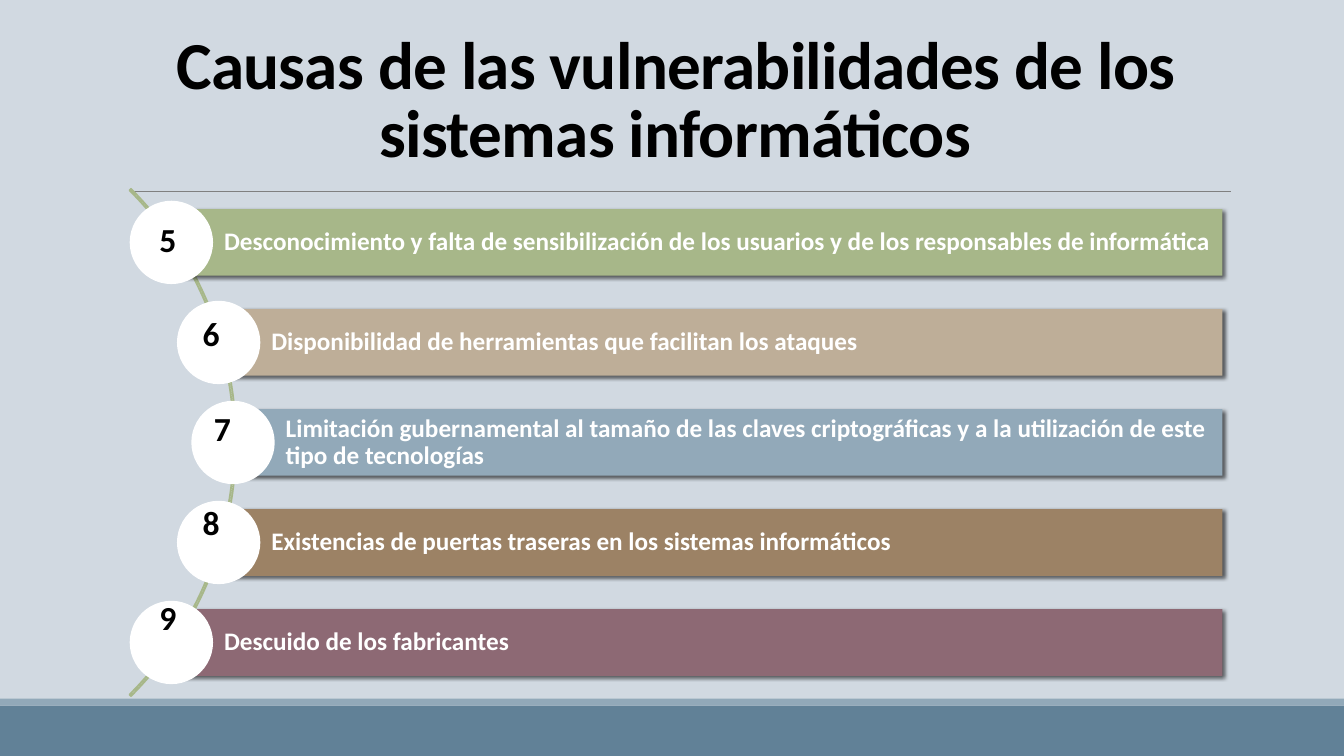
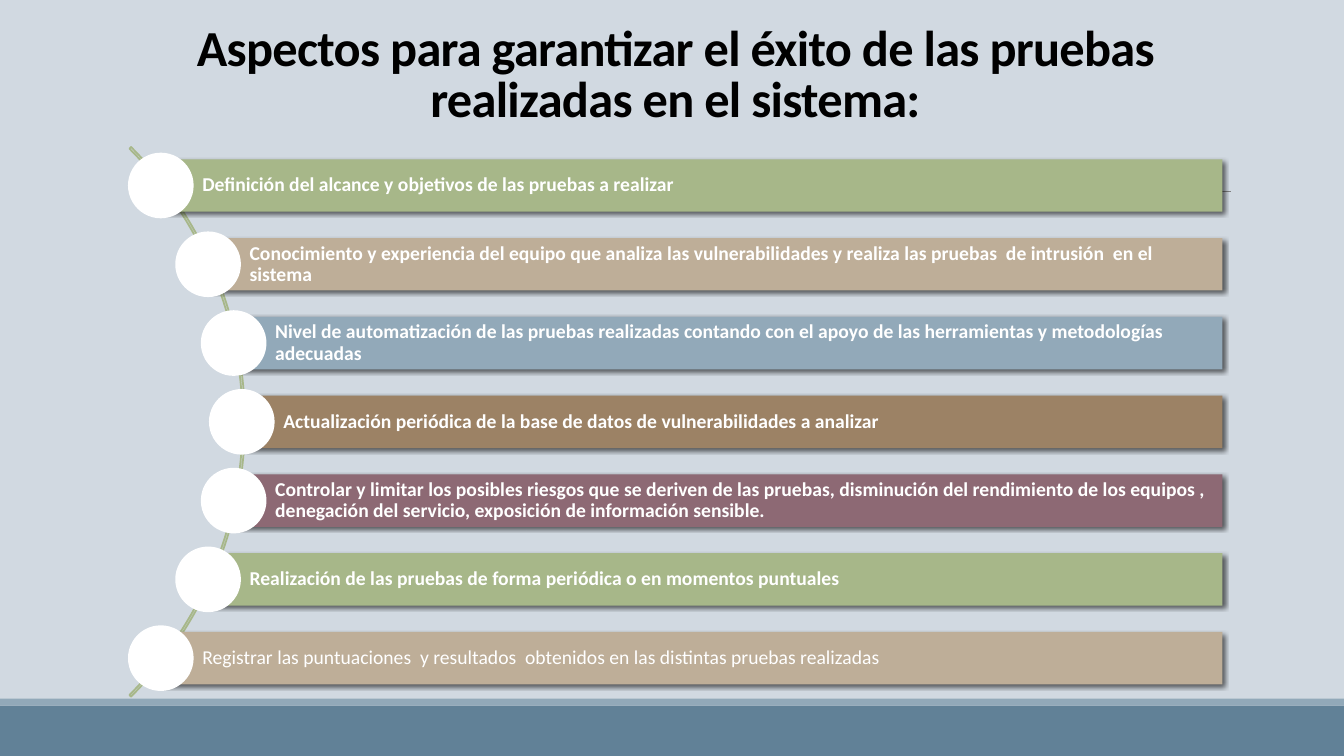
from dataclasses import dataclass
from math import sqrt

from lxml import etree
from pptx import Presentation
from pptx.dml.color import RGBColor
from pptx.enum.shapes import MSO_CONNECTOR, MSO_SHAPE
from pptx.enum.text import MSO_ANCHOR, PP_ALIGN
from pptx.oxml.ns import qn
from pptx.util import Emu, Inches, Pt

RECTANGLE, OVAL, ARC = MSO_SHAPE.RECTANGLE, MSO_SHAPE.OVAL, MSO_SHAPE.BLOCK_ARC
STRAIGHT = MSO_CONNECTOR.STRAIGHT
MIDDLE, BOTTOM, TOP = MSO_ANCHOR.MIDDLE, MSO_ANCHOR.BOTTOM, MSO_ANCHOR.TOP
LEFT, CENTER = PP_ALIGN.LEFT, PP_ALIGN.CENTER
WIDTH, HEIGHT = Inches(13.33), Inches(7.5)


@dataclass(frozen=True)
class Theme:
    """Colours, font and type sizes of the deck."""
    font: str = "Calibri"
    background: str = "D1D9E1"
    footer: str = "618197"
    footer_edge: str = "92A9B9"
    rule: str = "808080"
    ink: str = "000000"
    paper: str = "FFFFFF"
    arc: str = "A7B789"
    bars: tuple = ("A7B789", "BEAE98", "92A9B9", "9C8265", "8D6974")
    number_size: int = 24


@dataclass(frozen=True)
class Box:
    """A region in EMU."""
    left: int
    top: int
    width: int
    height: int

    def corners(self):
        """Return the four lengths in the order python-pptx takes them."""
        return tuple(Emu(int(v)) for v in (self.left, self.top, self.width, self.height))


THEME = Theme()


def across(percent):
    """Turn a percentage of the slide width into EMU."""
    return int(WIDTH * percent / 100)


def down(percent):
    """Turn a percentage of the slide height into EMU."""
    return int(HEIGHT * percent / 100)


def region(left, top, width, height):
    """Make a box from percentages of the slide."""
    return Box(across(left), down(top), across(width), down(height))


def rgb(colour):
    """Read a hex colour."""
    return RGBColor.from_string(colour)


def add_filled(slide, kind, box, colour):
    """Add a flat shape without outline or shadow."""
    shape = slide.shapes.add_shape(kind, *box.corners())
    shape.fill.solid()
    shape.fill.fore_color.rgb = rgb(colour)
    shape.line.fill.background()
    shape.shadow.inherit = False
    return shape


def cast_shadow(shape):
    """Give a shape a short diagonal shadow."""
    effects = shape._element.spPr.find(qn("a:effectLst"))
    shadow = etree.SubElement(effects, qn("a:outerShdw"), blurRad=str(Pt(3)),
                              dist=str(Pt(2)), dir="2700000", algn="tl", rotWithShape="0")
    black = etree.SubElement(shadow, qn("a:srgbClr"), val=THEME.ink)
    etree.SubElement(black, qn("a:alpha"), val="60000")


def write(shape, text, size, colour, align, anchor, spacing=1.0, bold=True):
    """Put one styled paragraph into a shape and return its run."""
    frame = shape.text_frame
    frame.word_wrap = True
    frame.vertical_anchor = anchor
    frame.text = text
    paragraph = frame.paragraphs[0]
    paragraph.alignment = align
    paragraph.line_spacing = spacing
    run = paragraph.runs[0]
    run.font.name, run.font.size, run.font.bold = THEME.font, Pt(size), bold
    run.font.color.rgb = rgb(colour)
    return run


def draw_frame(slide):
    """Draw the background, footer bands and rule shared by all slides."""
    slide.background.fill.solid()
    slide.background.fill.fore_color.rgb = rgb(THEME.background)
    add_filled(slide, RECTANGLE, region(0, 93.33, 100, 6.67), THEME.footer)
    add_filled(slide, RECTANGLE, region(0, 92.4, 100, 0.93), THEME.footer_edge)
    rule = slide.shapes.add_connector(STRAIGHT, across(9.82), down(25.33),
                                      across(91.6), down(25.33))
    rule.line.color.rgb = rgb(THEME.rule)
    rule.line.width = Pt(0.5)
    etree.SubElement(rule._element.spPr, qn("a:effectLst"))


def draw_title(slide, box, text, size):
    """Write the centred heading at the foot of its box."""
    heading = slide.shapes.add_textbox(*box.corners())
    run = write(heading, text, size, THEME.ink, CENTER, BOTTOM, 0.85)
    run._r.get_or_add_rPr().set("spc", "-50")


def draw_arc(slide, box):
    """Draw the curve from the box's top left to its bottom left; return centre and radius."""
    radius = box.height / sqrt(2)
    center_x, center_y = box.left - box.height / 2, box.top + box.height / 2
    circle = Box(center_x - radius, center_y - radius, 2 * radius, 2 * radius)
    arc = slide.shapes.add_shape(ARC, *circle.corners())
    for index, value in enumerate((189, 27, 0.003)):
        arc.adjustments[index] = value
    arc.fill.background()
    arc.line.color.rgb = rgb(THEME.arc)
    arc.line.width = Pt(1.25)
    arc.shadow.inherit = False
    return center_x, center_y, radius


def draw_bar(slide, box, text, size, colour, bold):
    """Draw one labelled bar with the disc on its left end."""
    bar = add_filled(slide, RECTANGLE, box, colour)
    cast_shadow(bar)
    frame = bar.text_frame
    frame.margin_left = int(box.height * 0.79)
    frame.margin_right = frame.margin_top = frame.margin_bottom = int(box.height * 0.08)
    write(bar, text, size, THEME.paper, LEFT, MIDDLE, 0.9, bold)
    disc = box.height * 1.25
    add_filled(slide, OVAL, Box(box.left - disc / 2, box.top + (box.height - disc) / 2,
                                disc, disc), THEME.paper)


def draw_curved_list(slide, box, pitch, texts, size, plain=()):
    """Stack bars whose left ends follow an arc and return their boxes."""
    center_x, center_y, radius = draw_arc(slide, box)
    reach = radius - across(0.23)
    height = pitch * 2 / 3
    bars = []
    for index, text in enumerate(texts):
        rise = (index - (len(texts) - 1) / 2) * pitch
        left = center_x + sqrt(reach ** 2 - rise ** 2)
        bar = Box(left, center_y + rise - height / 2,
                  box.left + box.width - left, height)
        colour = THEME.bars[index % len(THEME.bars)]
        draw_bar(slide, bar, text, size, colour, index not in plain)
        bars.append(bar)
    return bars


def draw_numbers(slide, bars, first, shifts):
    """Number the discs, each label shifted left of its bar's edge."""
    for index, (bar, shift) in enumerate(zip(bars, shifts)):
        label = Box(bar.left - across(shift), down(28.27 + 12.5 * index),
                    across(3.23), down(6.67))
        number = slide.shapes.add_textbox(*label.corners())
        write(number, str(first + index), THEME.number_size, THEME.ink, CENTER, TOP)


def build_causes(slide):
    """Build the numbered list of causes."""
    draw_frame(slide)
    draw_title(slide, region(9, 2.13, 82.5, 21.2),
               "Causas de las vulnerabilidades de los sistemas informáticos", 48)
    bars = draw_curved_list(slide, region(9.75, 24.98, 81.2, 67.1), down(13.23), (
        "Desconocimiento y falta de sensibilización de los usuarios y de los "
        "responsables de informática",
        "Disponibilidad de herramientas que facilitan los ataques",
        "Limitación gubernamental al tamaño de las claves criptográficas y a la "
        "utilización de este tipo de tecnologías",
        "Existencias de puertas traseras en los sistemas informáticos",
        "Descuido de los fabricantes",
    ), 18)
    draw_numbers(slide, bars, 5, (1.88, 2.18, 2.4, 2.18, 1.88))


def build_aspects(slide):
    """Build the list of aspects for successful tests."""
    draw_frame(slide)
    draw_title(slide, region(9, 0, 82.5, 17.6),
               "Aspectos para garantizar el éxito de las pruebas realizadas en el sistema:", 36)
    draw_curved_list(slide, region(9.75, 19.45, 81.2, 72.7), down(10.42), (
        "Definición del alcance y objetivos de las pruebas a realizar",
        "Conocimiento y experiencia del equipo que analiza las vulnerabilidades y "
        "realiza las pruebas  de intrusión  en el sistema",
        "Nivel de automatización de las pruebas realizadas contando con el apoyo de "
        "las herramientas y metodologías adecuadas",
        "Actualización periódica de la base de datos de vulnerabilidades a analizar",
        "Controlar y limitar los posibles riesgos que se deriven de las pruebas, "
        "disminución del rendimiento de los equipos , denegación del servicio, "
        "exposición de información sensible.",
        "Realización de las pruebas de forma periódica o en momentos puntuales",
        "Registrar las puntuaciones  y resultados  obtenidos en las distintas "
        "pruebas realizadas",
    ), 14, plain=(6,))


def main():
    """Build and save the deck."""
    deck = Presentation()
    deck.slide_width, deck.slide_height = WIDTH, HEIGHT
    blank = deck.slide_layouts[6]
    for build in (build_causes, build_aspects):
        build(deck.slides.add_slide(blank))
    deck.save("out.pptx")


if __name__ == "__main__":
    main()
